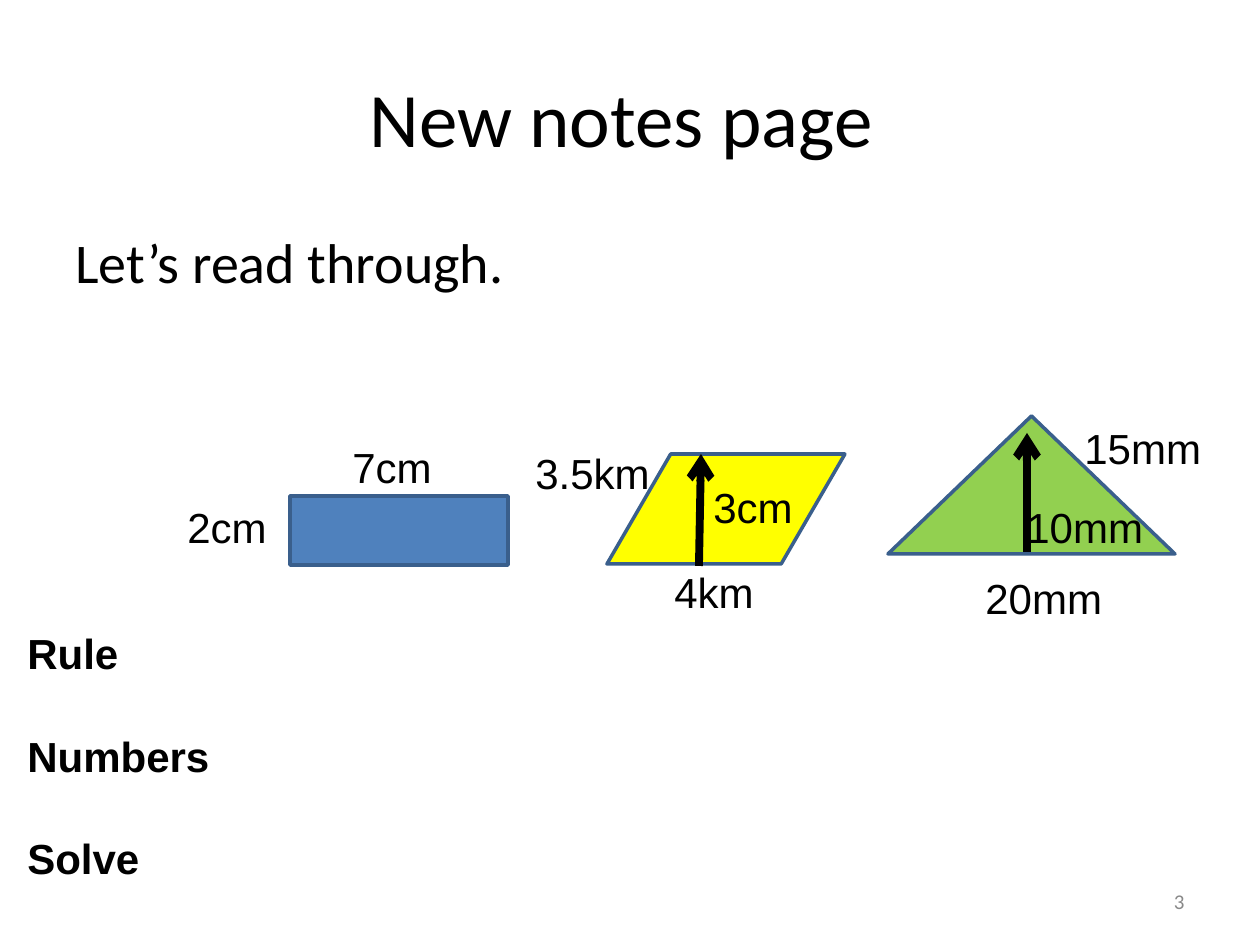
from lxml import etree
from pptx import Presentation
from pptx.dml.color import RGBColor
from pptx.enum.shapes import MSO_CONNECTOR, MSO_SHAPE
from pptx.enum.text import MSO_ANCHOR, PP_ALIGN
from pptx.oxml.ns import qn
from pptx.util import Pt

PX = 914400 / 126
LEFT, CENTER, RIGHT = PP_ALIGN.LEFT, PP_ALIGN.CENTER, PP_ALIGN.RIGHT
TOP, MIDDLE = MSO_ANCHOR.TOP, MSO_ANCHOR.MIDDLE
STRAIGHT = MSO_CONNECTOR.STRAIGHT
RECTANGLE = MSO_SHAPE.RECTANGLE
PARALLELOGRAM = MSO_SHAPE.PARALLELOGRAM
TRIANGLE = MSO_SHAPE.ISOSCELES_TRIANGLE
rgb = RGBColor.from_string


def emu(*lengths):
    return [round(length * PX) for length in lengths]


def add_text(place, lines, font, color="000000", align=LEFT, anchor=TOP, gap=0):
    box = page.shapes.add_textbox(*emu(*place))
    frame = box.text_frame
    frame.word_wrap = True
    frame.vertical_anchor = anchor
    for index, line in enumerate(lines):
        para = frame.paragraphs[0] if index == 0 else frame.add_paragraph()
        para.alignment = align
        if index:
            para.space_before = Pt(gap)
        span = para.add_run()
        span.text = line
        for name, value in font.items():
            setattr(span.font, name, value)
        span.font.color.rgb = rgb(color)


deck = Presentation()
deck.slide_width, deck.slide_height = emu(1260, 945)
page = deck.slides.add_slide(deck.slide_layouts[6])

title_font = {"name": "Calibri", "size": Pt(44)}
body_font = {"name": "Calibri", "size": Pt(32)}
number_font = {"name": "Calibri", "size": Pt(12)}
label_font = {"name": "Arial", "size": Pt(24)}
step_font = {**label_font, "bold": True}

add_text((63, 38, 1134, 157), ["New notes page "], title_font, align=CENTER, anchor=MIDDLE)
add_text((63, 221, 1134, 624), ["Let’s read through."], body_font)
add_text((903, 876, 294, 50), ["3"], number_font, "898989", RIGHT, MIDDLE)

figures = [
    (RECTANGLE, (290, 496, 218, 69), "4F81BD"),
    (PARALLELOGRAM, (607, 454, 238, 110), "FFFF00"),
    (TRIANGLE, (888, 416, 287, 138), "92D050"),
]
for kind, place, color in figures:
    figure = page.shapes.add_shape(kind, *emu(*place))
    figure.shadow.inherit = False
    figure.fill.solid()
    figure.fill.fore_color.rgb = rgb(color)
    figure.line.color.rgb = rgb("3A5F8C")
    figure.line.width = Pt(2)
    if kind == PARALLELOGRAM:
        figure.adjustments[0] = 0.58

add_text((15, 621, 238, 267), ["Rule", "Numbers", "Solve"], step_font, gap=30)

for ends in [(699, 566, 701, 454), (1027, 552, 1027, 433)]:
    arrow = page.shapes.add_connector(STRAIGHT, *emu(*ends))
    arrow.line.color.rgb = rgb("000000")
    arrow.line.width = Pt(4.5)
    etree.SubElement(arrow.line._get_or_add_ln(), qn("a:tailEnd"), type="arrow")
    etree.SubElement(arrow._element.spPr, qn("a:effectLst"))

labels = [
    ("3cm", 701, 475),
    ("2cm", 175, 495),
    ("4km", 662, 560),
    ("7cm", 340, 435),
    ("20mm", 973, 566),
    ("10mm", 1014, 495),
    ("3.5km", 523, 441),
    ("15mm", 1072, 416),
]
for label, left, top in labels:
    add_text((left, top, 226, 63), [label], label_font)

deck.save("out.pptx")
